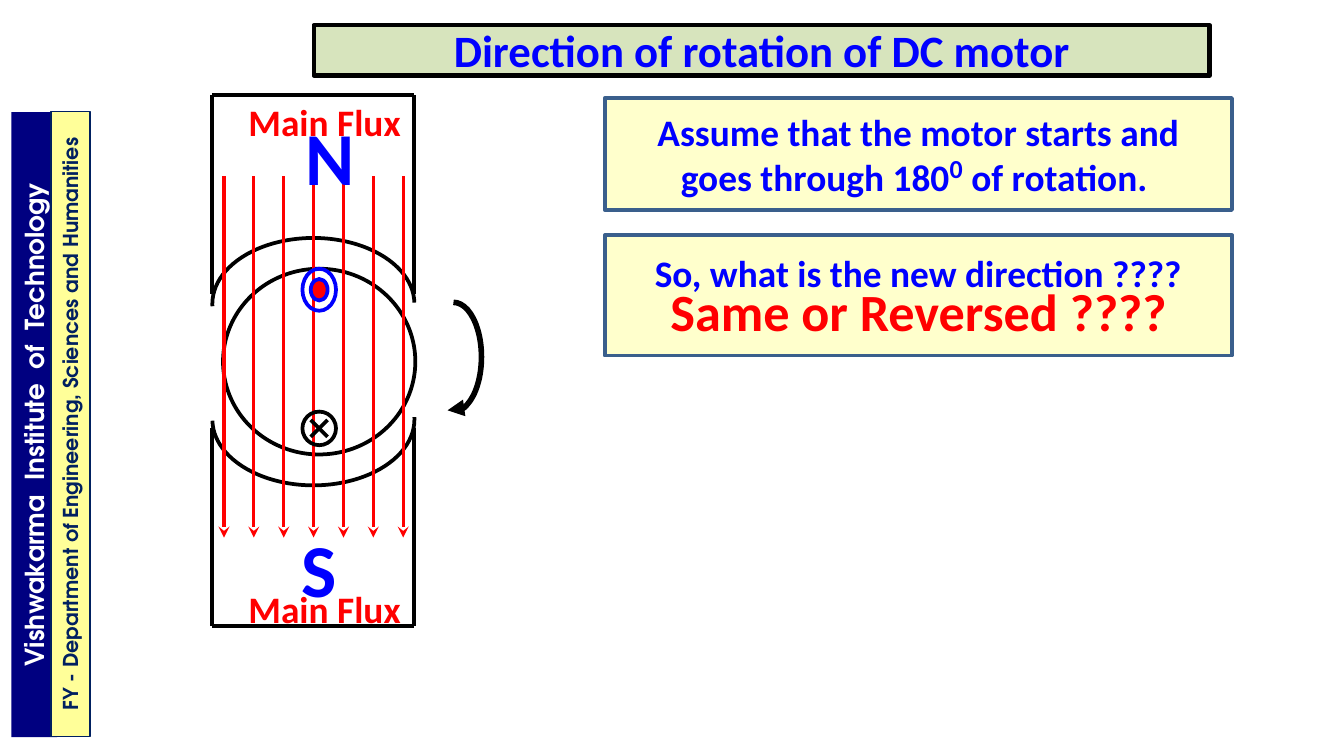
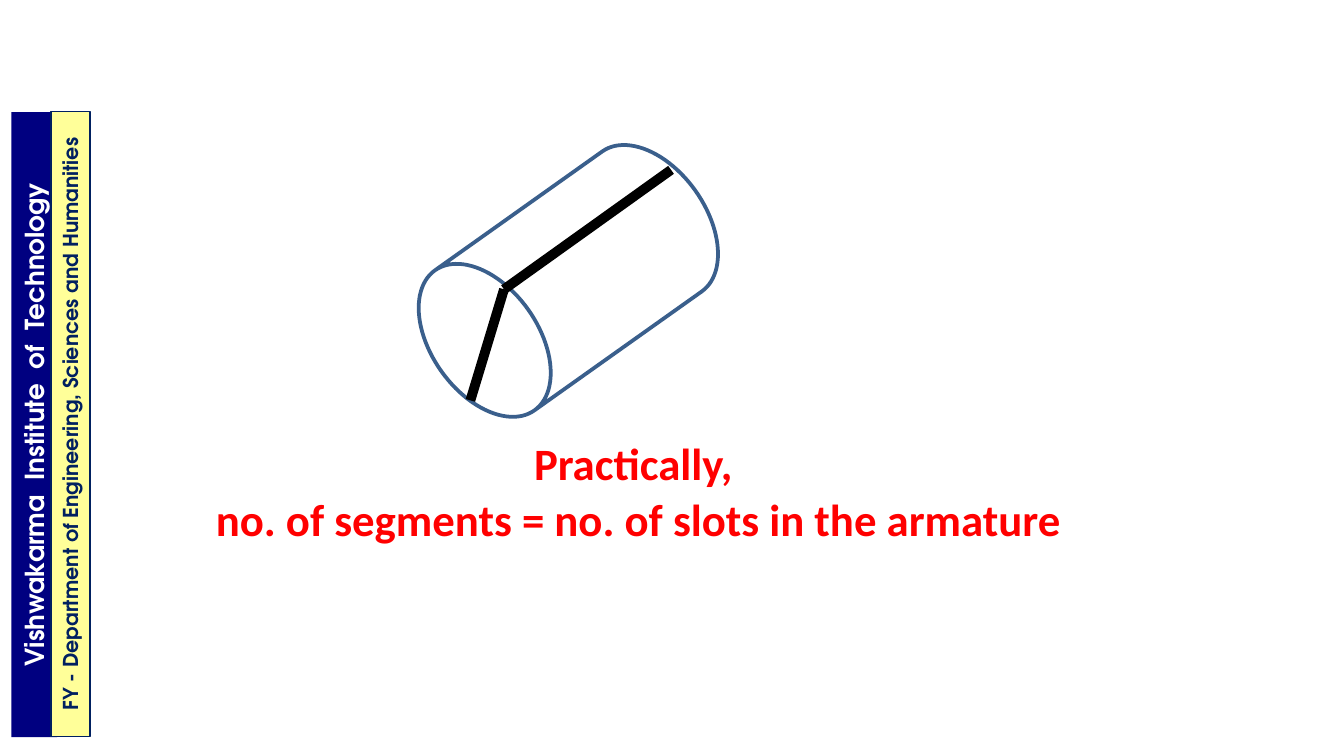
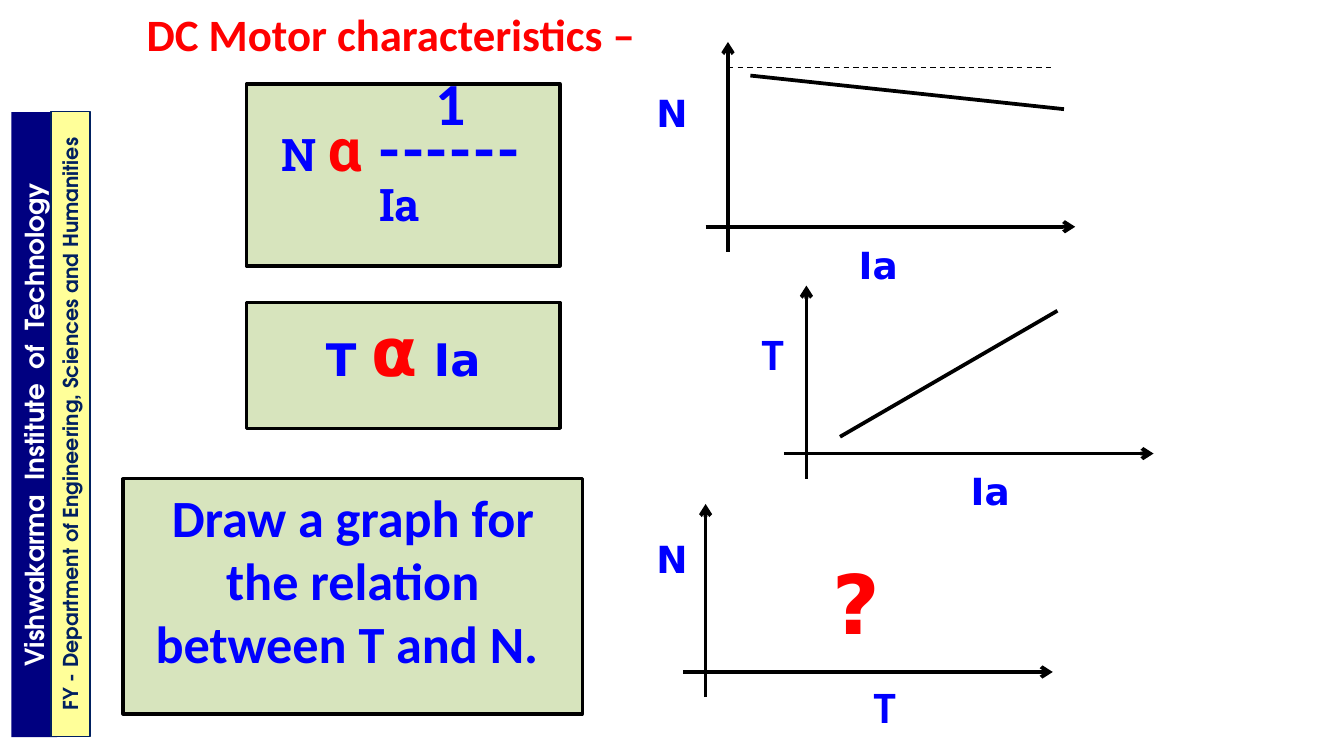
from pptx import Presentation
from pptx.dml.color import RGBColor
from pptx.enum.dml import MSO_LINE
from pptx.enum.shapes import MSO_CONNECTOR, MSO_SHAPE
from pptx.enum.text import MSO_ANCHOR, PP_ALIGN
from pptx.oxml.ns import qn
from pptx.util import Pt
from lxml.etree import SubElement

BLACK, WHITE, RED, BLUE = "000000", "FFFFFF", "FF0000", "0000FF"
GREEN, CREAM, STEEL = "D7E4BD", "FFFFCC", "3A5F8C"
NAVY, YELLOW, INK = "000080", "FFFF99", "002060"
BODY, SANS, SLAB, SIDE = "Calibri", "DejaVu Sans", "Roboto Slab", "TeX Gyre Adventor"
CENTER, LEFT = PP_ALIGN.CENTER, PP_ALIGN.LEFT


def tint(code):
    """Turn a hex string into a colour."""
    return RGBColor.from_string(code)


def stroke(item, color, width, head=None):
    """Style the outline of a shape or line, with an optional arrowhead."""
    item.line.color.rgb = tint(color)
    item.line.width = Pt(width)
    if head:
        SubElement(item._element.spPr.find(qn("a:ln")), qn("a:tailEnd"), type=head)


def line(slide, start, end, color=BLACK, width=2, head=None, dash=False):
    """Draw a straight line from start to end."""
    item = slide.shapes.add_connector(
        MSO_CONNECTOR.STRAIGHT, *(Pt(v) for v in (*start, *end)))
    stroke(item, color, width, head)
    if dash:
        item.line.dash_style = MSO_LINE.DASH
    SubElement(item._element.spPr, qn("a:effectLst"))


def shape(slide, kind, box, fill=None, color=None, width=2, turn=0, adjust=(), head=None):
    """Add a preset shape and return it."""
    item = slide.shapes.add_shape(kind, *(Pt(v) for v in box))
    item.shadow.inherit = False
    item.rotation = turn
    for i, value in enumerate(adjust):
        item.adjustments[i] = value
    if fill:
        item.fill.solid()
        item.fill.fore_color.rgb = tint(fill)
    else:
        item.fill.background()
    if color:
        stroke(item, color, width, head)
    else:
        item.line.fill.background()
    return item


def write(item, *paras, align=CENTER, pitch=None, after=0, anchor=MSO_ANCHOR.TOP,
          top=3.6, indents=(), **base):
    """Fill a shape with paragraphs, each a string or a list of (text, format) runs."""
    frame = item.text_frame
    frame.word_wrap = True
    frame.vertical_anchor = anchor
    frame.margin_top = Pt(top)
    for i, para in enumerate(paras):
        block = frame.paragraphs[0] if i == 0 else frame.add_paragraph()
        block.alignment = align
        block.space_after = Pt(after)
        if pitch:
            block.line_spacing = Pt(pitch)
        if indents:
            block._p.get_or_add_pPr().set("marL", str(Pt(indents[i])))
        for words, extra in [(para, {})] if isinstance(para, str) else para:
            look = {"size": 24, "font": BODY, "color": BLUE, **base, **extra}
            run = block.add_run()
            run.text = words
            run.font.size = Pt(look["size"])
            run.font.name = look["font"]
            run.font.bold = True
            run.font.color.rgb = tint(look["color"])
            for key in {"baseline", "spc"} & look.keys():
                run._r.get_or_add_rPr().set(key, str(look[key]))


def label(slide, box, *paras, **look):
    """Add a plain text box."""
    write(slide.shapes.add_textbox(*(Pt(v) for v in box)), *paras, **look)


def panel(slide, box, *paras, fill=GREEN, color=BLACK, width=1.75, **look):
    """Add a filled and outlined box with text."""
    write(shape(slide, MSO_SHAPE.RECTANGLE, box, fill, color, width), *paras, **look)


def bands(slide):
    """Add the two upright bands at the left edge."""
    wide = []
    for word in "Vishwakarma Institute of Technology".split():
        wide += [(" ", {"spc": 390}), (word, {})]
    dept = "FY - Department of Engineering, Sciences and Humanities"
    rows = ((-149, 215.25, 24.5, NAVY, None, wide[1:], 14, WHITE),
            (-129.6, 216.75, 21, YELLOW, INK, dept, 11, INK))
    for left, top, high, fill, edge, words, size, color in rows:
        item = shape(slide, MSO_SHAPE.RECTANGLE, (left, top, 334.8, high),
                     fill, edge, 0.75, turn=270)
        write(item, words, size=size, font=SIDE, color=color)


def pole(slide, end, tip, top, turn):
    """Draw one magnet pole with its curved face."""
    left, right = 113.75, 222
    line(slide, (left, end), (right, end))
    for x in (left, right):
        line(slide, (x, end), (x, tip))
    shape(slide, MSO_SHAPE.ARC, (left, top, right - left, 70.5), color=BLACK,
          turn=turn, adjust=(107.15, 215.6))


def axes(slide, x, y, high):
    """Draw a pair of arrowed axes."""
    line(slide, (x, y), (x + 198, y), head="arrow")
    line(slide, (x + 12, y + 13.5), (x + 12, y - high), head="arrow")


def motor(slide):
    """Build the motor slide."""
    pole(slide, 51, 157.5, 127.5, 0)
    pole(slide, 335.5, 229.5, 189.5, 180)
    oval = MSO_SHAPE.OVAL
    shape(slide, oval, (119.5, 144, 103, 99.5), color=BLACK)
    for i in range(7):
        x = 120 + 16 * i
        line(slide, (x, 94.5), (x, 288), RED, 1.75, "stealth")
    shape(slide, oval, (162, 144, 18, 22.5), color=BLUE)
    shape(slide, oval, (166.5, 149.5, 9, 11.5), RED, BLUE)
    shape(slide, oval, (162, 220.5, 18, 18), color=BLACK)
    line(slide, (166.5, 225), (175.5, 234))
    line(slide, (175.5, 225), (166.5, 234))
    for name, left, top in (("N", 156, 54), ("S", 150, 274.5)):
        label(slide, (left, top, 42, 45), name, size=40, pitch=20, after=10, top=33.6)
    for top in (49.5, 310.5):
        label(slide, (126, top, 102, 31.5), "Main Flux", size=20, color=RED, align=LEFT)
    shape(slide, MSO_SHAPE.ARC, (228, 162, 30, 58.5), color=BLACK, width=3,
          adjust=(162, 57.81), head="triangle")
    mid = MSO_ANCHOR.MIDDLE
    panel(slide, (168, 13.5, 480, 27), "Direction of rotation of DC motor",
          width=2.25, pitch=28, after=10, anchor=mid)
    note = dict(fill=CREAM, color=STEEL, width=2)
    look = dict(size=20, pitch=25, anchor=mid)
    first = [("Assume that the motor starts and goes through 180", {}),
             ("0", {"size": 24, "baseline": 30000}), (" of rotation. ", {})]
    asks = ["So, what is the new direction ????",
            [("Same or Reversed ????", {"size": 28, "color": RED})]]
    panel(slide, (324, 52.5, 336, 60), first, **note, **look)
    panel(slide, (324, 126, 336, 64.5), *asks, **note, **look)


def drum(slide):
    """Build the armature slide."""
    shape(slide, MSO_SHAPE.CAN, (258.5, 67, 92, 167), WHITE, STEEL,
          turn=234.6, adjust=(0.62,))
    line(slide, (270, 155), (359.5, 91), width=5.25)
    line(slide, (252, 214.5), (270, 155), width=5.25)
    label(slide, (72, 238.5, 540, 51), "Practically, ",
          "no. of segments = no. of slots in the armature",
          color=RED, pitch=20, after=10)


def curves(slide):
    """Build the characteristics slide."""
    label(slide, (71.5, 9, 283, 27), "DC Motor characteristics –",
          color=RED, align=LEFT, pitch=20, after=10)
    ratio = [("N ", {}), ("α", {"size": 32, "color": RED}), (" ------", {"size": 32})]
    panel(slide, (132, 45, 168, 97.5), [("1", {"size": 32, "font": BODY})], ratio, "Ia",
          font=SLAB, align=LEFT, pitch=25, indents=(94, 11.5, 64))
    panel(slide, (132, 162, 168, 67.5),
          [("T ", {}), ("α", {"size": 36, "color": RED}), (" Ia", {})], font=SANS)
    panel(slide, (66, 256.5, 246, 126),
          "Draw a graph for the relation between T and N. ", size=28)
    for x, y, high in ((378, 121.5, 99), (420, 243, 90), (366, 360, 90)):
        axes(slide, x, y, high)
    line(slide, (402, 40.5), (570, 58.5))
    line(slide, (390, 36), (564, 36), width=0.75, dash=True)
    line(slide, (450, 234), (566.5, 166.5))
    small, plain = dict(size=20, font=SANS), {}
    for name, left, top, look in (
            ("N", 336, 45, small), ("Ia ", 450, 126, small),
            ("T", 390, 171, plain), ("Ia ", 510, 247.5, small),
            ("N", 336, 283.5, small), ("T", 450, 360, plain)):
        label(slide, (left, top, 48, 27), name, **look)
    label(slide, (414, 292.5, 90, 49.5), "?", size=44, font=SANS, color=RED)


def main():
    """Build and save the deck."""
    deck = Presentation()
    deck.slide_width, deck.slide_height = Pt(720), Pt(405)
    for build in (motor, drum, curves):
        slide = deck.slides.add_slide(deck.slide_layouts[6])
        build(slide)
        bands(slide)
    deck.save("out.pptx")


if __name__ == "__main__":
    main()
